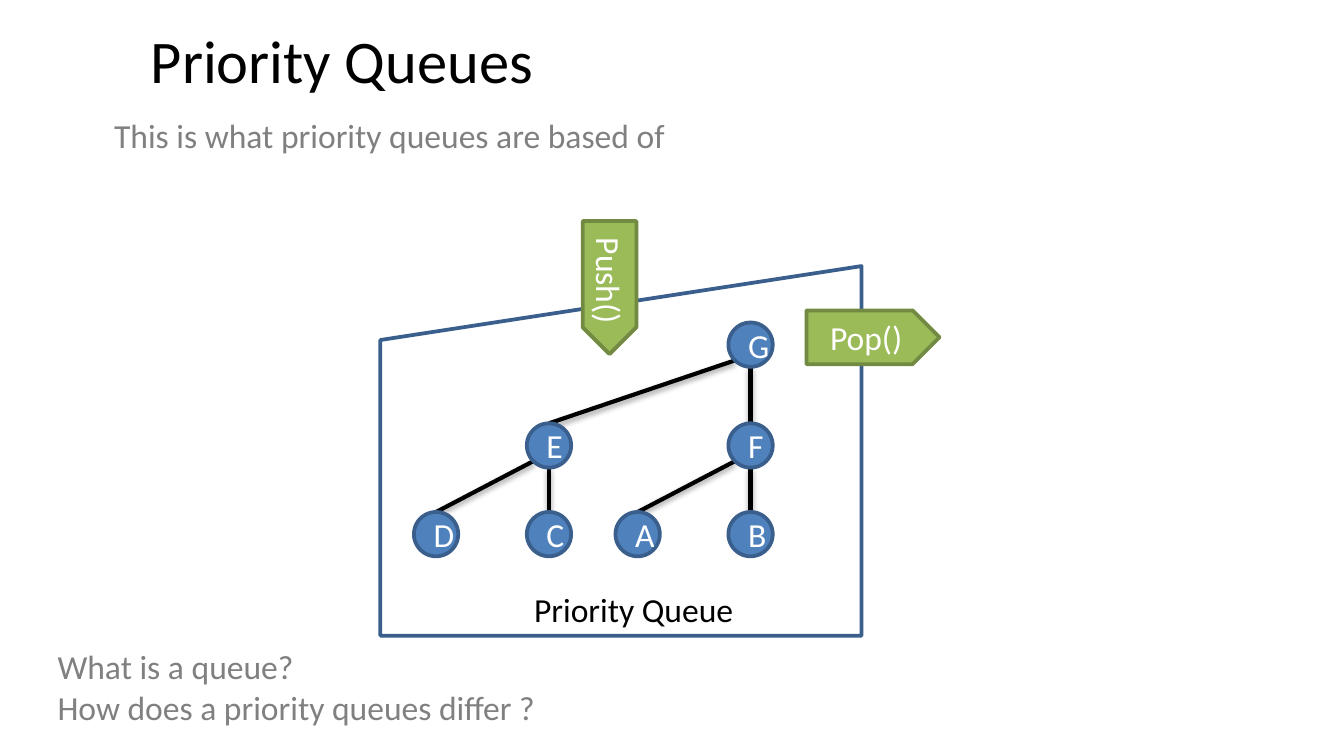
import math

from pptx import Presentation
from pptx.dml.color import RGBColor
from pptx.enum import shapes, text
from pptx.util import Inches, Pt

BLACK = RGBColor(0x00, 0x00, 0x00)
WHITE = RGBColor(0xFF, 0xFF, 0xFF)
GRAY = RGBColor(0x80, 0x80, 0x80)
BLUE = RGBColor(0x4F, 0x81, 0xBD)
DARK_BLUE = RGBColor(0x3A, 0x5F, 0x8C)
GREEN = RGBColor(0x9B, 0xBB, 0x59)
DARK_GREEN = RGBColor(0x73, 0x8A, 0x42)

NODE_SIZE = 0.33
RADIUS = NODE_SIZE / 2
DIAGONAL = RADIUS * math.sqrt(0.5)


def write(shape, content, size=18, color=WHITE, align=text.PP_ALIGN.CENTER,
          anchor=text.MSO_ANCHOR.MIDDLE):
    """Fill the shape with text, one paragraph per line."""
    frame = shape.text_frame
    frame.text = content
    frame.word_wrap = True
    frame.auto_size = text.MSO_AUTO_SIZE.NONE
    frame.vertical_anchor = anchor
    for paragraph in frame.paragraphs:
        paragraph.alignment = align
        paragraph.font.name = "Calibri"
        paragraph.font.size = Pt(size)
        paragraph.font.color.rgb = color


def add_shape(kind, left, top, width, height, line, fill=None):
    shape = slide.shapes.add_shape(
        kind, Inches(left), Inches(top), Inches(width), Inches(height))
    shape.shadow.inherit = False
    if fill is None:
        shape.fill.background()
    else:
        shape.fill.solid()
        shape.fill.fore_color.rgb = fill
    shape.line.color.rgb = line
    shape.line.width = Pt(2)
    return shape


# Widescreen, 16:9
presentation = Presentation()
presentation.slide_width = Inches(10)
presentation.slide_height = Inches(10 * 9 / 16)
slide = presentation.slides.add_slide(presentation.slide_layouts.get_by_name("Title Only"))

# Title
title = slide.shapes.title
title.left, title.top = Inches(0.17), Inches(0.15)
title.width, title.height = Inches(4.75), Inches(0.59)
write(title, "Priority Queues", size=32.4, color=BLACK)

# Introduction and questions
remarks = [
    (0.75, 0.81, 6.75, 0.4, "This is what priority queues are based of"),
    (0.33, 4.76, 3.83, 0.71, "What is a queue?\nHow does a priority queues differ ?"),
]
for left, top, width, height, content in remarks:
    box = slide.shapes.add_textbox(
        Inches(left), Inches(top), Inches(width), Inches(height))
    write(box, content, color=GRAY, align=text.PP_ALIGN.LEFT,
          anchor=text.MSO_ANCHOR.TOP)

# Heap: top left corner of each node, then parent and child of each edge
nodes = {
    "G": (5.42, 2.4),
    "E": (3.92, 3.15), "F": (5.42, 3.15),
    "D": (3.08, 3.81), "C": (3.92, 3.81), "A": (4.58, 3.81), "B": (5.42, 3.81),
}
edges = ["GE", "GF", "ED", "EC", "FA", "FB"]

# Edges keep the soft shadow of the theme
for parent, child in edges:
    parent_left, parent_top = nodes[parent]
    child_left, child_top = nodes[child]
    x, y = parent_left + RADIUS, parent_top + RADIUS
    if parent_left == child_left:
        y += RADIUS
    else:
        x, y = x - DIAGONAL, y + DIAGONAL
    edge = slide.shapes.add_connector(
        shapes.MSO_CONNECTOR.STRAIGHT, Inches(x), Inches(y),
        Inches(child_left + RADIUS), Inches(child_top))
    edge.line.color.rgb = BLACK
    edge.line.width = Pt(2.25)

for letter, (left, top) in nodes.items():
    node = add_shape(shapes.MSO_SHAPE.OVAL, left, top, NODE_SIZE, NODE_SIZE,
                     DARK_BLUE, BLUE)
    write(node, letter)

# Container of the heap
container = add_shape(shapes.MSO_SHAPE.FLOWCHART_MANUAL_INPUT,
                      2.83, 1.98, 3.58, 2.75, DARK_BLUE)
write(container, "Priority Queue", color=BLACK, anchor=text.MSO_ANCHOR.BOTTOM)
container.text_frame.paragraphs[0]._p.get_or_add_pPr().set("marL", str(Inches(0.19)))

# Operations
for label, left, top, rotation in [("Pop()", 6, 2.31, 0), ("Push()", 4.04, 1.94, 90)]:
    operation = add_shape(shapes.MSO_SHAPE.PENTAGON, left, top, 0.99, 0.4,
                          DARK_GREEN, GREEN)
    operation.rotation = rotation
    write(operation, label)

presentation.save("out.pptx")
